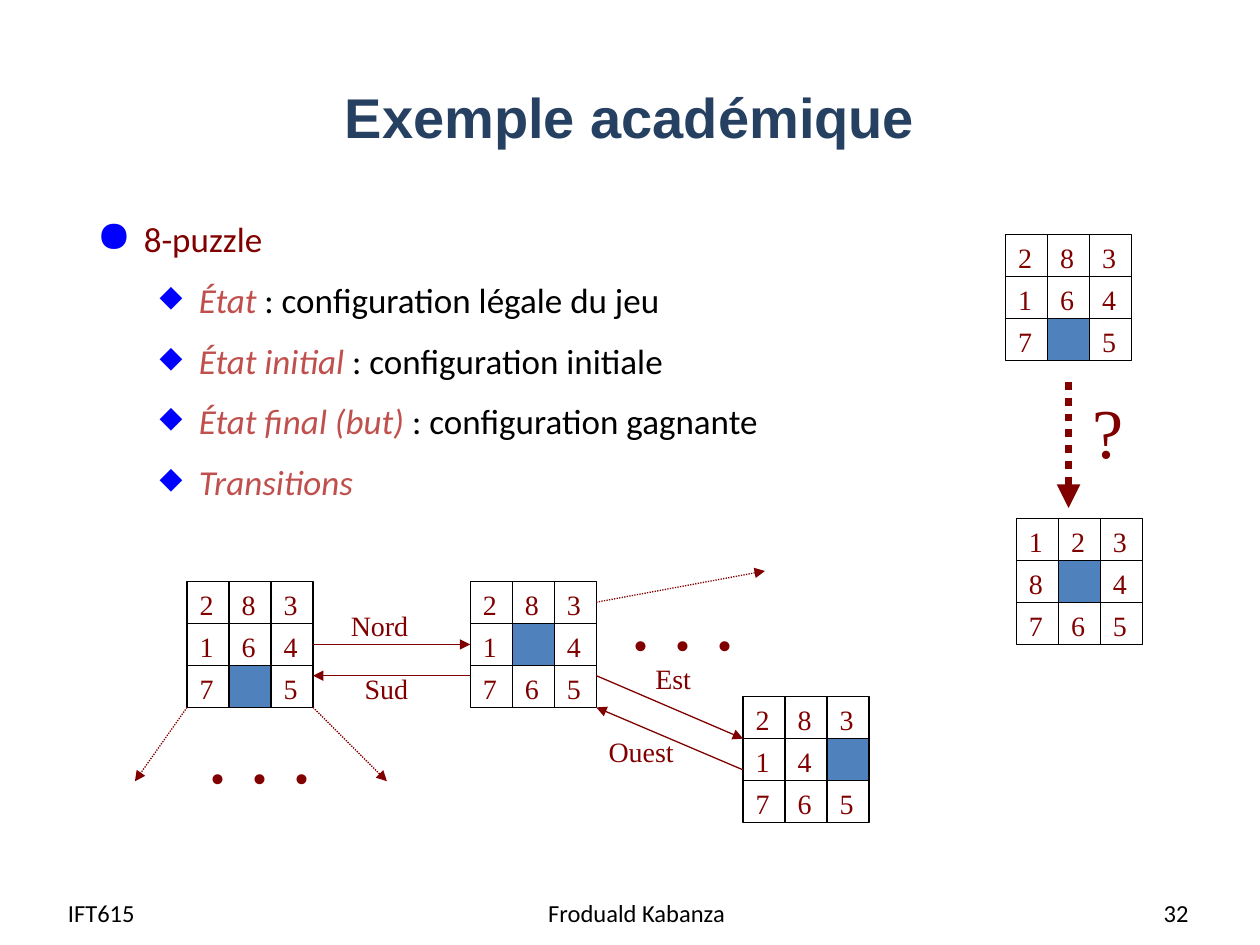
from lxml.etree import SubElement
from pptx import Presentation
from pptx.dml.color import RGBColor
from pptx.enum.dml import MSO_LINE
from pptx.enum.shapes import MSO_CONNECTOR, MSO_SHAPE
from pptx.enum.text import MSO_ANCHOR, MSO_AUTO_SIZE, PP_ALIGN
from pptx.oxml.ns import qn
from pptx.util import Cm, Pt

COLORS = {
    "title": "254061",
    "maroon": "800000",
    "term": "C0504D",
    "black": "000000",
    "bullet": "0000FF",
    "blank": "4F81BD",
}
SERIF = "Times New Roman"
SANS = "Calibri"
SIDE = 2.54
CELL = SIDE / 3
DOTTED = MSO_LINE.ROUND_DOT

# Boards: left, top, rows (a space is the empty cell)
START = (20.27, 4.73, ("283", "164", "7 5"))
GOAL = (20.49, 10.45, ("123", "8 4", "765"))
BEFORE = (3.77, 11.72, ("283", "164", "7 5"))
MIDDLE = (9.48, 11.72, ("283", "1 4", "765"))
AFTER = (14.98, 14.04, ("283", "14 ", "765"))

DEFINITIONS = [
    ("État", " : configuration légale du jeu"),
    ("État initial", " : configuration initiale"),
    ("État final (but)", " : configuration gagnante"),
    ("Transitions", ""),
]


def rgb(name):
    return RGBColor.from_string(COLORS[name])


def set_font(font, name, size, color, bold=None):
    font.name = name
    font.size = Pt(size)
    font.color.rgb = rgb(color)
    font.bold = bold


def add_label(shapes, text, left, top, width, height=0.94, size=16):
    label = shapes.add_textbox(Cm(left), Cm(top), Cm(width), Cm(height))
    frame = label.text_frame
    frame.word_wrap = False
    frame.auto_size = MSO_AUTO_SIZE.SHAPE_TO_FIT_TEXT
    paragraph = frame.paragraphs[0]
    paragraph.text = text
    paragraph.alignment = PP_ALIGN.CENTER
    set_font(paragraph.font, SERIF, size, "maroon")


def add_line(shapes, start, end, color="maroon", width=0.75, dash=None, arrow=True):
    line = shapes.add_connector(
        MSO_CONNECTOR.STRAIGHT, *(Cm(value) for value in (*start, *end)))
    line.line.color.rgb = rgb(color)
    line.line.width = Pt(width)
    if dash:
        line.line.dash_style = dash
    properties = line._element.spPr
    if arrow:
        SubElement(properties.find(qn("a:ln")), qn("a:tailEnd"), type="triangle")
    SubElement(properties, qn("a:effectLst"))
    return line


def add_square(shapes, left, top, side, fill=None):
    square = shapes.add_shape(
        MSO_SHAPE.RECTANGLE, Cm(left), Cm(top), Cm(side), Cm(side))
    square.shadow.inherit = False
    if fill:
        square.fill.solid()
        square.fill.fore_color.rgb = rgb(fill)
    else:
        square.fill.background()
    square.line.color.rgb = rgb("black")
    square.line.width = Pt(0.75)
    return square


def add_board(slide, left, top, rows):
    """Draw a 3 x 3 puzzle and return its outer frame."""
    shapes = slide.shapes.add_group_shape().shapes
    frame = add_square(shapes, left, top, SIDE)
    for step in (CELL, 2 * CELL):
        add_line(shapes, (left + step, top), (left + step, top + SIDE),
                 "black", arrow=False)
        add_line(shapes, (left, top + step), (left + SIDE, top + step),
                 "black", arrow=False)
    for row, digits in enumerate(rows):
        for column, digit in enumerate(digits):
            x, y = left + column * CELL, top + row * CELL
            if digit == " ":
                add_square(shapes, x, y, CELL, "blank")
            else:
                add_label(shapes, digit, x, y, 0.79)
    return frame


def format_bullet(paragraph, char, percent, margin, hanging):
    properties = paragraph._p.get_or_add_pPr()
    properties.set("marL", str(Cm(margin)))
    properties.set("indent", str(-Cm(hanging)))
    color = SubElement(properties, qn("a:buClr"))
    SubElement(color, qn("a:srgbClr"), val=COLORS["bullet"])
    SubElement(properties, qn("a:buSzPct"), val=str(percent * 1000))
    SubElement(properties, qn("a:buChar"), char=char)
    paragraph.line_spacing = 1.3


def add_definitions(slide):
    box = slide.shapes.add_textbox(Cm(1.7), Cm(4.01), Cm(21.59), Cm(12.06))
    frame = box.text_frame
    frame.word_wrap = True
    heading = frame.paragraphs[0]
    heading.text = "8-puzzle"
    format_bullet(heading, "●", 125, 0.95, 0.95)
    set_font(heading.font, SANS, 20, "maroon")
    for term, meaning in DEFINITIONS:
        item = frame.add_paragraph()
        item.level = 1
        format_bullet(item, "◆", 85, 2.06, 0.79)
        item.space_before = Pt(3.5)
        set_font(item.font, SANS, 20, "black")
        term_run = item.add_run()
        term_run.text = term
        term_run.font.italic = True
        term_run.font.color.rgb = rgb("term")
        if meaning:
            item.add_run().text = meaning


def add_footer(slide, text, left, width, alignment):
    footer = slide.shapes.add_textbox(Cm(left), Cm(17.88), Cm(width), Cm(1.02))
    frame = footer.text_frame
    frame.word_wrap = True
    frame.vertical_anchor = MSO_ANCHOR.MIDDLE
    paragraph = frame.paragraphs[0]
    paragraph.text = text
    paragraph.alignment = alignment
    set_font(paragraph.font, SANS, 14, "black")


def format_title(slide):
    title = slide.shapes.title
    title.left, title.top, title.width, title.height = (
        Cm(1.27), Cm(0.76), Cm(22.86), Cm(3.18))
    title.text_frame.vertical_anchor = MSO_ANCHOR.MIDDLE
    paragraph = title.text_frame.paragraphs[0]
    paragraph.text = "Exemple académique"
    paragraph.alignment = PP_ALIGN.CENTER
    set_font(paragraph.font, "Arial", 32, "title", bold=True)


def main():
    presentation = Presentation()
    presentation.slide_width, presentation.slide_height = Cm(25.4), Cm(19.05)
    slide = presentation.slides.add_slide(presentation.slide_layouts[5])
    shapes = slide.shapes

    format_title(slide)
    add_definitions(slide)

    # Start and goal
    add_board(slide, *START)
    add_board(slide, *GOAL)
    add_line(shapes, (21.54, 7.7), (21.54, 10.24), width=4.5, dash=DOTTED)
    add_label(shapes, "?", 21.77, 7.7, 1.14, 1.96, size=40)

    # Transitions between states
    before = add_board(slide, *BEFORE)
    middle = add_board(slide, *MIDDLE)
    add_board(slide, *AFTER)
    north = add_line(shapes, (6.31, 12.99), (9.48, 12.99))
    north.begin_connect(before, 3)
    north.end_connect(middle, 1)
    add_line(shapes, (9.48, 13.62), (6.31, 13.62))
    add_line(shapes, (12.02, 13.62), (14.98, 14.89))
    add_line(shapes, (14.98, 15.52), (12.02, 14.26))
    for text, left, top, width in [
            ("Nord", 6.81, 12.14, 1.68), ("Sud", 7.09, 13.41, 1.4),
            ("Est", 12.95, 13.21, 1.24), ("Ouest", 12.01, 14.68, 1.83)]:
        add_label(shapes, text, left, top, width)

    # Further states left open
    for start, end in [((6.31, 14.26), (7.8, 15.75)),
                       ((3.77, 14.26), (2.72, 15.75)),
                       ((12.02, 12.14), (15.42, 11.51))]:
        add_line(shapes, start, end, dash=DOTTED)
    for left, top in [(3.94, 13.97), (12.45, 11.3)]:
        add_label(shapes, ". . .", left, top, 2.62, 2.29, size=48)

    # Footer
    add_footer(slide, "IFT615", 1.12, 4.9, PP_ALIGN.LEFT)
    add_footer(slide, "Froduald Kabanza", 8.81, 8.05, PP_ALIGN.CENTER)
    add_footer(slide, "32", 18.29, 5.92, PP_ALIGN.RIGHT)

    presentation.save("out.pptx")


if __name__ == "__main__":
    main()
